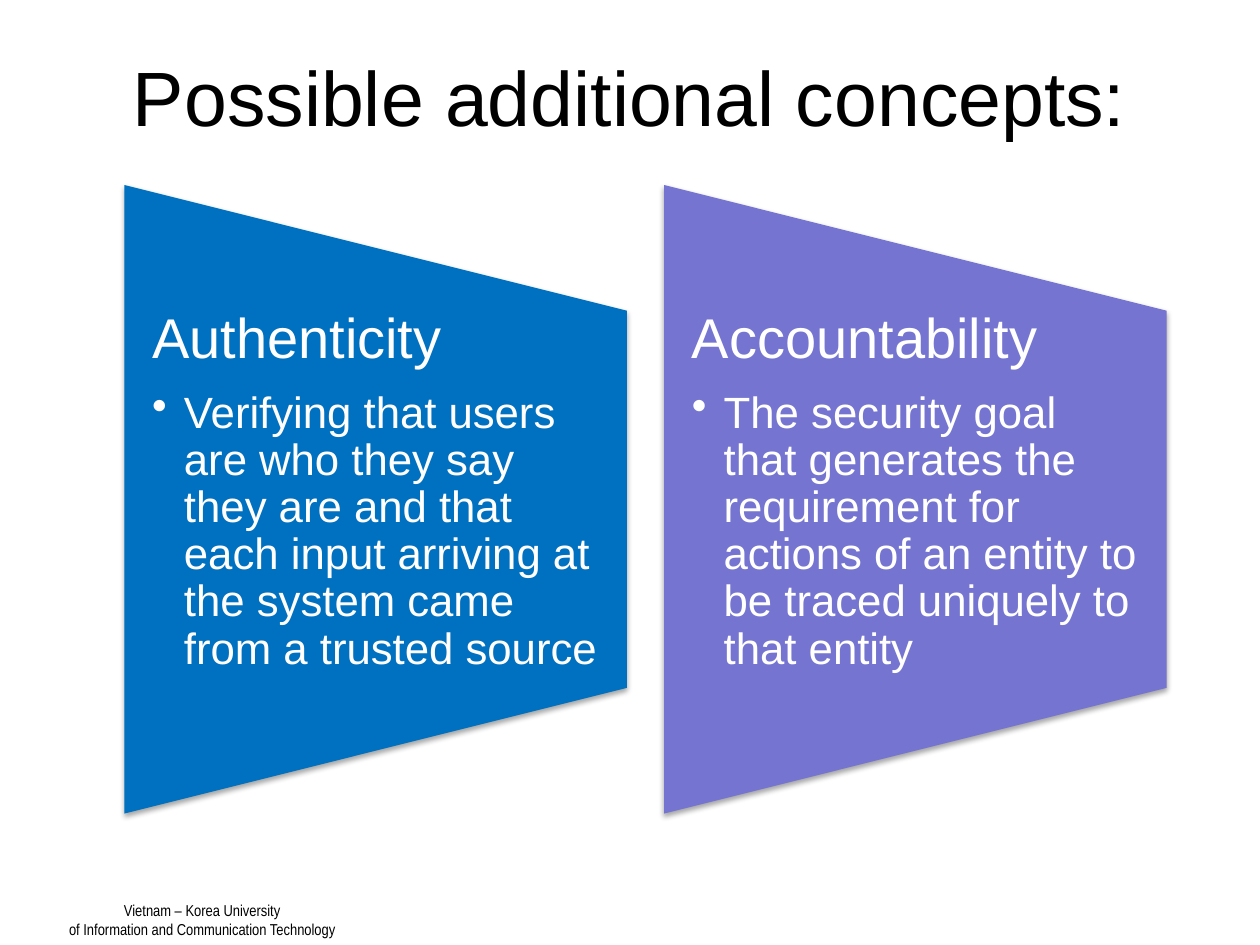
from lxml.etree import SubElement
from pptx import Presentation
from pptx.dml.color import RGBColor
from pptx.enum.shapes import MSO_SHAPE as Shape
from pptx.enum.text import MSO_ANCHOR as Anchor, PP_ALIGN as Align
from pptx.oxml.ns import qn
from pptx.util import Cm, Pt


def color(hex_value):
    return RGBColor.from_string(hex_value)


def add_text(left, top, width, height, frame_format, paragraphs):
    """Add a text box; each paragraph is (text, paragraph format, font format, hex, bulleted)."""
    box = page.shapes.add_textbox(Cm(left), Cm(top), Cm(width), Cm(height))
    frame = box.text_frame
    for name, value in frame_format.items():
        setattr(frame, name, value)
    for index, (text, para_format, font_format, hex_value, bulleted) in enumerate(paragraphs):
        para = frame.add_paragraph() if index else frame.paragraphs[0]
        if bulleted:
            properties = para._p.get_or_add_pPr()
            properties.set("marL", str(Cm(0.64)))
            properties.set("indent", str(-Cm(0.64)))
            SubElement(properties, qn("a:buChar"), char="•")
        for name, value in para_format.items():
            setattr(para, name, value)
        span = para.add_run()
        span.text = text
        for name, value in font_format.items():
            setattr(span.font, name, value)
        span.font.color.rgb = color(hex_value)


deck = Presentation()
deck.slide_width, deck.slide_height = Cm(25.4), Cm(19.05)
page = deck.slides.add_slide(deck.slide_layouts[6])

# Footer and title
centered = {"alignment": Align.CENTER}
footer_font = {"name": "Arial Narrow", "size": Pt(9)}
footer_lines = ["Vietnam – Korea University", "of Information and Communication Technology"]
add_text(1.09, 18.03, 5.97, 1.02, {"word_wrap": False},
         [(line, centered, footer_font, "000000", False) for line in footer_lines])
add_text(1.27, 0.76, 22.86, 2.36, {"word_wrap": True, "vertical_anchor": Anchor.MIDDLE},
         [("Possible additional concepts:", centered,
           {"name": "Arial", "size": Pt(44)}, "000000", False)])

# Concept panels
concepts = [
    ("Authenticity", "0070C0",
     "Verifying that users are who they say they are and that each input arriving "
     "at the system came from a trusted source"),
    ("Accountability", "7575D1",
     "The security goal that generates the requirement for actions of an entity "
     "to be traced uniquely to that entity"),
]
panel_frame = {"word_wrap": True, "margin_left": Cm(0.56), "margin_right": Cm(0.56),
               "margin_top": 0, "margin_bottom": 0}
heading_format = {"line_spacing": 0.9, "space_after": Pt(11)}
detail_format = {"line_spacing": 0.9, "level": 1}
panel_width, panel_height, panel_step = 10.13, 12.67, 10.88
panel_top = 3.73
turned_offset = (panel_height - panel_width) / 2

for index, (heading, fill, detail) in enumerate(concepts):
    left = 2.51 + index * panel_step
    panel = page.shapes.add_shape(
        Shape.FLOWCHART_MANUAL_OPERATION, Cm(left - turned_offset),
        Cm(panel_top + turned_offset), Cm(panel_height), Cm(panel_width))
    panel.rotation = 270
    panel.fill.solid()
    panel.fill.fore_color.rgb = color(fill)
    panel.line.fill.background()
    panel.shadow.inherit = False
    effects = panel._element.spPr.find(qn("a:effectLst"))
    shadow = SubElement(effects, qn("a:outerShdw"), blurRad=str(Pt(3.1)),
                        dist=str(Pt(1.8)), dir="5400000", rotWithShape="0")
    shade = SubElement(shadow, qn("a:srgbClr"), val="000000")
    SubElement(shade, qn("a:alpha"), val="35000")

    add_text(left, 6.26, panel_width, 7.6, panel_frame, [
        (heading, heading_format, {"name": "Arial", "size": Pt(32)}, "FFFFFF", False),
        (detail, detail_format, {"name": "Arial", "size": Pt(25)}, "FFFFFF", True),
    ])

deck.save("out.pptx")
